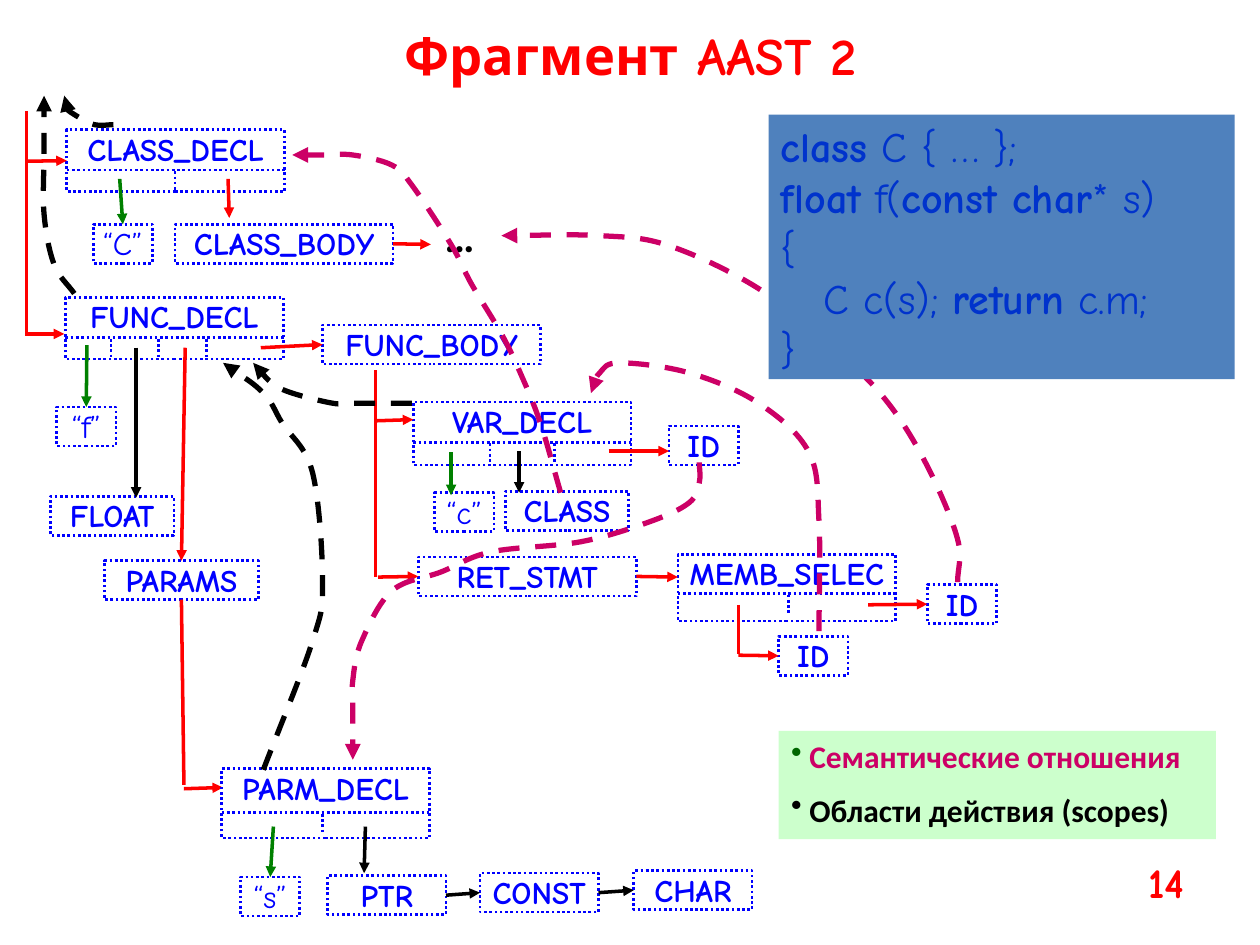
from dataclasses import dataclass
from typing import Any

from pptx import Presentation
from pptx.dml.color import RGBColor
from pptx.enum.dml import MSO_LINE
from pptx.enum.shapes import MSO_CONNECTOR, MSO_SHAPE
from pptx.enum.text import MSO_ANCHOR, PP_ALIGN
from pptx.oxml.ns import qn
from pptx.oxml.xmlchemy import OxmlElement
from pptx.util import Pt

PX = 9144  # 100 px to the inch
TOP, LEFT, BOTTOM, RIGHT = range(4)
RED, GREEN, BLACK, BLUE = "FF0000", "008000", "000000", "0000FF"
MAGENTA, WHITE = "CC0066", "FFFFFF"
COMIC, CALIBRI = "Comic Neue", "Calibri"


def color(value):
    return RGBColor.from_string(value)


def emu(*lengths):
    return [round(length * PX) for length in lengths]


def add_element(parent, tag, **attributes):
    child = OxmlElement(tag)
    for name, value in attributes.items():
        child.set(name, str(value))
    parent.append(child)
    return child


def style_line(shape, tone, width, dash=None, arrow=False):
    shape.line.color.rgb = color(tone)
    shape.line.width = Pt(width)
    if dash is not None:
        shape.line.dash_style = dash
    if arrow:
        add_element(shape.element.spPr.find(qn("a:ln")), "a:tailEnd", type="triangle")


def add_span(para, text, size, tone, font=COMIC, bold=True):
    span = para.add_run()
    span.text = text
    span.font.size = Pt(size)
    span.font.name = font
    span.font.bold = bold
    span.font.color.rgb = color(tone)


def round_corners(shape):
    """Turn the straight segments of a freeform into smooth Bézier segments."""
    knots = [(int(point.get("x")), int(point.get("y")))
             for point in shape.element.iter(qn("a:pt"))]
    before = tuple(2 * p - q for p, q in zip(knots[0], knots[1]))
    after = tuple(2 * p - q for p, q in zip(knots[-1], knots[-2]))
    padded = [before, *knots, after]
    segments = list(shape.element.iter(qn("a:lnTo")))
    for segment, a, b, c, d in zip(segments, padded, padded[1:], padded[2:], padded[3:]):
        bezier = OxmlElement("a:cubicBezTo")
        first = [q + (r - p) / 6 for p, q, r in zip(a, b, c)]
        second = [r - (s - q) / 6 for q, r, s in zip(b, c, d)]
        for x, y in (first, second, c):
            add_element(bezier, "a:pt", x=round(x), y=round(y))
        segment.getparent().replace(segment, bezier)


@dataclass
class Region:
    """A part of the page whose lengths are measured from its own corner."""
    page: Any
    left: int
    top: int

    def place(self, x, y):
        return emu(self.left + x, self.top + y)

    def panel(self, box, fill=None):
        x, y, width, height = box
        shape = self.page.shapes.add_shape(
            MSO_SHAPE.RECTANGLE, *self.place(x, y), *emu(width, height))
        shape.shadow.inherit = False
        shape.line.fill.background()
        if fill:
            shape.fill.solid()
            shape.fill.fore_color.rgb = color(fill)
        else:
            shape.fill.background()
        shape.text_frame.word_wrap = True
        shape.text_frame.vertical_anchor = MSO_ANCHOR.TOP
        shape.text_frame.paragraphs[0].alignment = PP_ALIGN.LEFT
        return shape

    def node(self, label, box, fill=None, row=0, cuts=()):
        """A dotted box; row is the height of its name, cuts part the cells."""
        shape = self.panel(box, fill)
        style_line(shape, BLUE, 1.5, MSO_LINE.ROUND_DOT)
        frame = shape.text_frame
        frame.margin_left = frame.margin_right = 0
        frame.margin_top = frame.margin_bottom = 0
        para = frame.paragraphs[0]
        para.alignment = PP_ALIGN.CENTER
        add_span(para, label, 18, BLUE, bold=not label.startswith("“"))
        x, y, width, _ = box
        if row:
            self.link((x, y + row), (x + width, y + row), BLUE, dotted=True)
        for cut in cuts:
            self.link((x + cut, y + row + 1), (x + cut, y + row + 16), BLUE, dotted=True)
        return shape

    def link(self, start, end, tone=RED, arrow=True, dotted=False):
        """Each end is a point or a pair of shape and side."""
        ends = [point if isinstance(point[0], int) else (0, 0) for point in (start, end)]
        line = self.page.shapes.add_connector(
            MSO_CONNECTOR.STRAIGHT, *self.place(*ends[0]), *self.place(*ends[1]))
        if not isinstance(start[0], int):
            line.begin_connect(*start)
        if not isinstance(end[0], int):
            line.end_connect(*end)
        style_line(line, tone, 1.5 if dotted else 2,
                   MSO_LINE.ROUND_DOT if dotted else None, arrow and not dotted)
        add_element(line.element.spPr, "a:effectLst")

    def curve(self, tone, knots):
        points = [self.place(*knot) for knot in knots]
        builder = self.page.shapes.build_freeform(*points[0], scale=1.0)
        builder.add_line_segments(points[1:], close=False)
        shape = builder.convert_to_shape()
        round_corners(shape)
        shape.shadow.inherit = False
        shape.fill.background()
        style_line(shape, tone, 3, MSO_LINE.DASH, True)

    def caption(self, text, box, size, tone, font=COMIC, align=PP_ALIGN.LEFT):
        x, y, width, height = box
        shape = self.page.shapes.add_textbox(*self.place(x, y), *emu(width, height))
        shape.text_frame.word_wrap = True
        para = shape.text_frame.paragraphs[0]
        para.alignment = align
        add_span(para, text, size, tone, font)


def add_class_tree(region):
    declaration = region.node("CLASS_DECL", (53, 3, 173, 49), row=32, cuts=[86])
    name = region.node("“C”", (74, 78, 47, 31))
    body = region.node("CLASS_BODY", (139, 78, 173, 31))
    region.caption("…", (343, 62, 63, 50), 24, BLACK, CALIBRI)
    region.link((95, 42), (name, TOP), GREEN)
    region.link((181, 42), (182, 73))
    region.link((body, RIGHT), (342, 94))
    region.link((21, -12), (21, 165), arrow=False)
    region.link((20, 28), (declaration, LEFT))
    region.link((20, 165), (51, 165))


def add_function_tree(region):
    region.node("FUNC_DECL", (52, 36, 173, 49), row=32, cuts=[36, 74, 112])
    name = region.node("“f”", (45, 123, 47, 31))
    region.node("FLOAT", (40, 194, 98, 31), WHITE)
    body = region.node("FUNC_BODY", (256, 58, 173, 31), WHITE)
    params = region.node("PARAMS", (83, 245, 122, 31), WHITE)
    region.link((69, 74), (name, TOP), GREEN)
    region.link((108, 76), (108, 195), BLACK)
    region.link((147, 76), (params, TOP))
    region.link((207, 76), (body, LEFT))
    region.link((params, BOTTOM), (146, 423), arrow=False)
    region.link((146, 426), (177, 425))


def add_parameter_tree(region):
    region.node("PARM_DECL", (76, 10, 165, 55), WHITE, row=35, cuts=[80])
    name = region.node("“s”", (91, 96, 47, 31))
    pointer, constant, char = [
        region.node(label, (x, y, 94, 31))
        for label, x, y in [("PTR", 160, 95), ("CONST", 281, 93), ("CHAR", 403, 91)]]
    region.link((117, 56), (name, TOP), GREEN)
    region.link((190, 56), (189, 93), BLACK)
    region.link((pointer, RIGHT), (constant, LEFT), BLACK)
    region.link((constant, RIGHT), (char, LEFT), BLACK)


def add_body_tree(region):
    region.node("VAR_DECL", (28, 19, 173, 50), WHITE, row=32, cuts=[61, 112])
    statement = region.node("RET_STMT", (32, 142, 173, 31), WHITE)
    region.node("“c”", (45, 91, 47, 31))
    region.node("CLASS", (101, 90, 98, 31), WHITE)
    region.node("MEMB_SELEC", (238, 140, 173, 53), WHITE, row=31, cuts=[88])
    _, member, item = [region.node("ID", (x, y, 55, 31), WHITE)
                       for x, y in [(231, 38), (436, 164), (318, 205)]]
    region.link((-2, -6), (-2, 158), arrow=False)
    region.link((-2, 34), (28, 33))
    region.link((0, 158), (statement, LEFT))
    region.link((58, 59), (58, 93), GREEN)
    region.link((112, 58), (112, 91), BLACK)
    region.link((183, 58), (231, 58))
    region.link((statement, RIGHT), (238, 158))
    region.link((389, 180), (member, LEFT))
    region.link((286, 180), (286, 219), arrow=False)
    region.link((286, 220), (item, LEFT))


def add_relations(region):
    for knots in [
        [(555, 367), (555, 383), (547, 399), (516, 414), (461, 430), (390, 438),
         (350, 454), (311, 469), (287, 509), (280, 540), (280, 564), (280, 603)],
        [(650, 501), (650, 414), (642, 359), (602, 320), (547, 296), (492, 288),
         (476, 296), (469, 312)],
        [(760, 462), (760, 428), (736, 370), (705, 320), (665, 279), (602, 229),
         (531, 195), (476, 187), (398, 187)],
        [(445, 391), (429, 336), (413, 296), (398, 265), (374, 225), (358, 194),
         (327, 147), (311, 131), (280, 123), (256, 123), (232, 123)],
    ]:
        region.curve(MAGENTA, knots)
    for knots in [
        [(209, 611), (248, 509), (256, 462), (248, 375), (224, 336), (209, 312), (177, 288)],
        [(327, 320), (280, 320), (264, 320), (232, 312), (216, 304), (201, 288)],
        [(59, 233), (43, 210), (35, 170), (35, 123), (35, 91), (35, 76)],
        [(90, 99), (75, 99), (59, 91), (51, 84), (51, 76)],
    ]:
        region.curve(BLACK, knots)


def add_code(region):
    para = region.panel((0, 0, 370, 210), "4F81BD").text_frame.paragraphs[0]
    stops = add_element(para._p.get_or_add_pPr(), "a:tabLst")
    add_element(stops, "a:tab", pos=34 * PX, algn="l")
    lines = [
        [("class", True), (" C { … };", False)],
        [("float", True), (" f(", False), ("const char", True), ("* s)", False)],
        [("{", False)],
        [("\tC c(s); ", False), ("return", True), (" c.m;", False)],
        [("}", False)],
    ]
    for number, spans in enumerate(lines):
        if number:
            para.add_line_break()
        for text, bold in spans:
            add_span(para, text, 24, "0033CC", bold=bold)


def add_legend(region):
    frame = region.panel((0, 0, 347, 86), "CCFFCC").text_frame
    items = [[(" ", "006600"), ("Семантические отношения", MAGENTA)],
             [(" Области действия (scopes)", BLACK)]]
    for number, spans in enumerate(items):
        para = frame.add_paragraph() if number else frame.paragraphs[0]
        para.alignment = PP_ALIGN.LEFT
        para.space_before = Pt(9)
        add_element(para._p.get_or_add_pPr(), "a:buChar", char="•")
        for text, tone in spans:
            add_span(para, text, 18, tone, CALIBRI)


def main():
    deck = Presentation()
    deck.slide_width, deck.slide_height = emu(1000, 750)
    page = deck.slides.add_slide(deck.slide_layouts[6])
    add_class_tree(Region(page, 0, 100))
    add_function_tree(Region(page, 0, 200))
    add_parameter_tree(Region(page, 100, 600))
    add_body_tree(Region(page, 300, 300))
    whole = Region(page, 0, 0)
    add_relations(whole)
    add_code(Region(page, 610, 91))
    add_legend(Region(page, 618, 580))
    whole.caption("14", (902, 675, 73, 50), 24, RED)
    whole.caption("Фрагмент AAST 2", (20, 13, 961, 60), 30, RED, align=PP_ALIGN.CENTER)
    deck.save("out.pptx")


if __name__ == "__main__":
    main()
